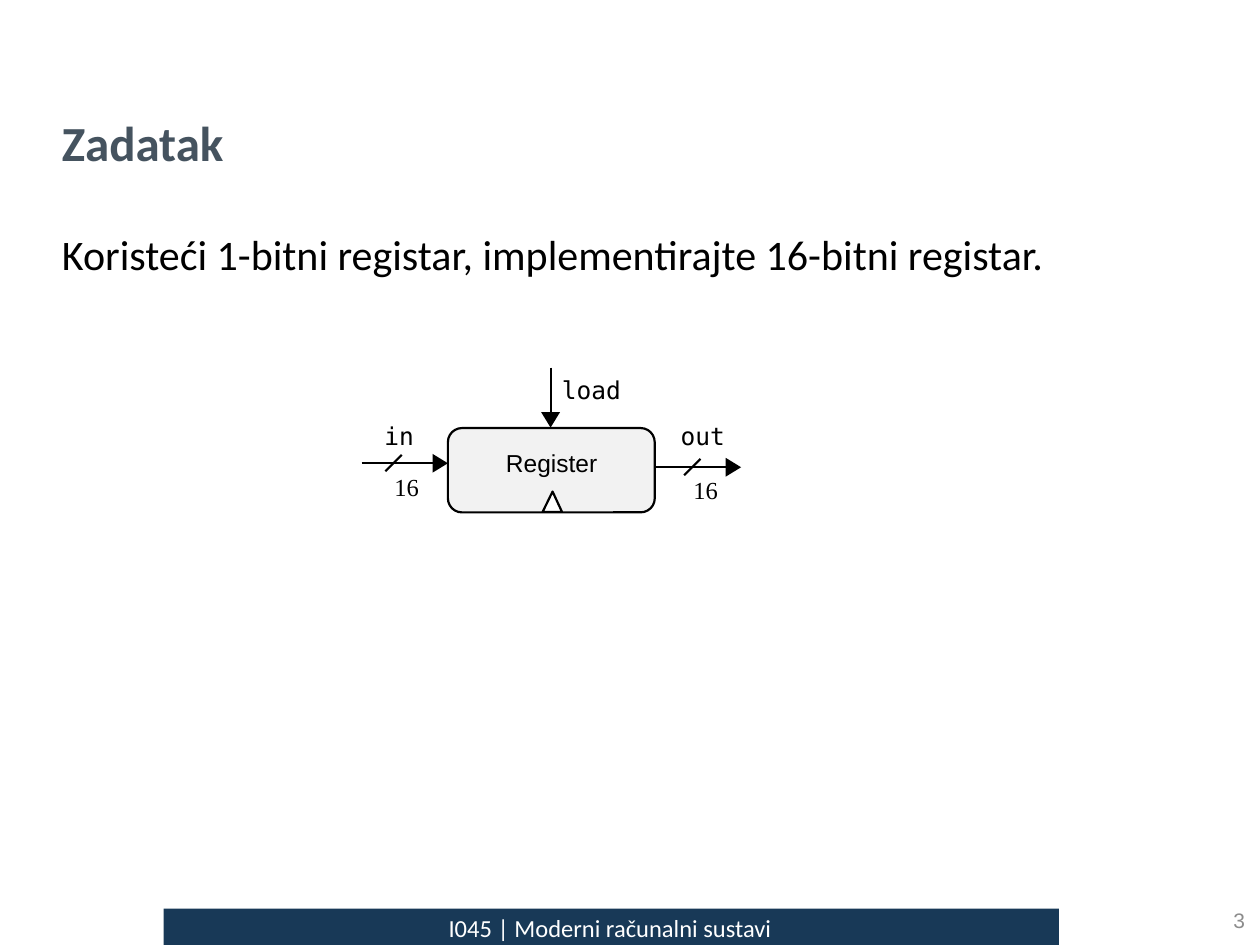
from lxml import etree
from pptx import Presentation
from pptx.dml.color import RGBColor
from pptx.enum.shapes import MSO_CONNECTOR, MSO_SHAPE
from pptx.enum.text import MSO_ANCHOR, PP_ALIGN
from pptx.oxml.ns import qn
from pptx.util import Cm, Pt

LEFT, MID, RIGHT = PP_ALIGN.LEFT, PP_ALIGN.CENTER, PP_ALIGN.RIGHT
TOP, CENTRE = MSO_ANCHOR.TOP, MSO_ANCHOR.MIDDLE
RECT, ROUND = MSO_SHAPE.RECTANGLE, MSO_SHAPE.ROUNDED_RECTANGLE
LINE = MSO_CONNECTOR.STRAIGHT
BLACK, WHITE, GREY = "000000", "FFFFFF", "F2F2F2"
NAVY, SLATE, PALE = "183957", "45535F", "8C8C8C"
SANS, BODY, MONO, SERIF = "Arial", "Calibri", "DejaVu Sans Mono", "Times New Roman"


def color(text):
    return RGBColor.from_string(text)


class Page:
    """Draws styled elements on one slide, with lengths in centimetres."""

    def __init__(self, slide, weight=1.25, size=14):
        self.shapes = slide.shapes
        self.weight = weight
        self.size = size

    def paint(self, shape, fill, edge):
        shape.shadow.inherit = False
        shape.fill.solid()
        shape.fill.fore_color.rgb = color(fill)
        if edge:
            shape.line.color.rgb = color(edge)
            shape.line.width = Pt(self.weight)
        else:
            shape.line.fill.background()

    def box(self, kind, x, y, w, h, fill, edge=None):
        shape = self.shapes.add_shape(kind, Cm(x), Cm(y), Cm(w), Cm(h))
        self.paint(shape, fill, edge)

    def shape(self, points, fill, edge=None):
        spots = [(Cm(x), Cm(y)) for x, y in points]
        pen = self.shapes.build_freeform(*spots[0])
        pen.add_line_segments(spots[1:], close=True)
        self.paint(pen.convert_to_shape(), fill, edge)

    def line(self, x, y, to_x, to_y):
        wire = self.shapes.add_connector(LINE, Cm(x), Cm(y), Cm(to_x), Cm(to_y))
        wire.line.color.rgb = color(BLACK)
        wire.line.width = Pt(self.weight)
        etree.SubElement(wire._element.spPr, qn("a:effectLst"))

    def arrow(self, x, y, to_x, to_y, head=0.31, half=0.19):
        if y == to_y:
            base = to_x - head
            self.line(x, y, base, y)
            ends = [(base, y - half), (base, y + half)]
        else:
            base = to_y - head
            self.line(x, y, x, base)
            ends = [(x - half, base), (x + half, base)]
        self.shape([ends[0], (to_x, to_y), ends[1]], BLACK)

    def text(self, words, x, y, w, h, font=BODY, size=None, ink=BLACK,
             bold=False, align=LEFT, anchor=TOP, inset=(0.25, 0.13)):
        frame = self.shapes.add_textbox(Cm(x), Cm(y), Cm(w), Cm(h)).text_frame
        frame.word_wrap = True
        frame.vertical_anchor = anchor
        frame.margin_left = frame.margin_right = Cm(inset[0])
        frame.margin_top = frame.margin_bottom = Cm(inset[1])
        para = frame.paragraphs[0]
        para.alignment = align
        run = para.add_run()
        run.text = words
        run.font.name = font
        run.font.size = Pt(size or self.size)
        run.font.bold = bold
        run.font.color.rgb = color(ink)

    def label(self, words, x, y, w, font):
        self.text(words, x, y, w, 0.6, font, inset=(0, 0))


deck = Presentation()
deck.slide_width, deck.slide_height = Cm(25.4), Cm(19.05)
page = Page(deck.slides.add_slide(deck.slide_layouts[6]))

page.box(RECT, 3.3, 18.32, 18.05, 0.73, NAVY)
page.text("I045 | Moderni računalni sustavi", 3.5, 18.27, 17.6, 0.86,
          ink=WHITE, align=MID)
page.text("3", 24, 18.03, 1.35, 1.02, SANS, 12, PALE, align=RIGHT, anchor=CENTRE)
page.text("Zadatak", 1, 2.13, 18.4, 1.6, size=28, ink=SLATE, bold=True)
page.text("Koristeći 1-bitni registar, implementirajte 16-bitni registar.",
          1, 4.47, 22.6, 13.26, size=24)

page.box(ROUND, 9.03, 8.63, 4.17, 1.7, GREY, BLACK)
page.shape([(11.33, 10.32), (10.94, 10.32), (11.14, 9.91)], WHITE, BLACK)
page.label("Register", 10.2, 9.04, 1.9, SANS)

page.arrow(7.29, 9.34, 9.03, 9.34)
page.arrow(13.2, 9.42, 14.94, 9.42)
page.arrow(11.1, 7.41, 11.1, 8.62)
for x, y in [(7.77, 9.5), (13.79, 9.58)]:
    page.line(x, y, x + 0.33, y - 0.33)

for words, x, y, w, font in [
    ("in", 7.75, 8.48, 1, MONO),
    ("out", 13.72, 8.48, 1, MONO),
    ("load", 11.33, 7.56, 1.6, MONO),
    ("16", 7.95, 9.51, 0.74, SERIF),
    ("16", 13.98, 9.57, 0.74, SERIF),
]:
    page.label(words, x, y, w, font)

deck.save("out.pptx")
